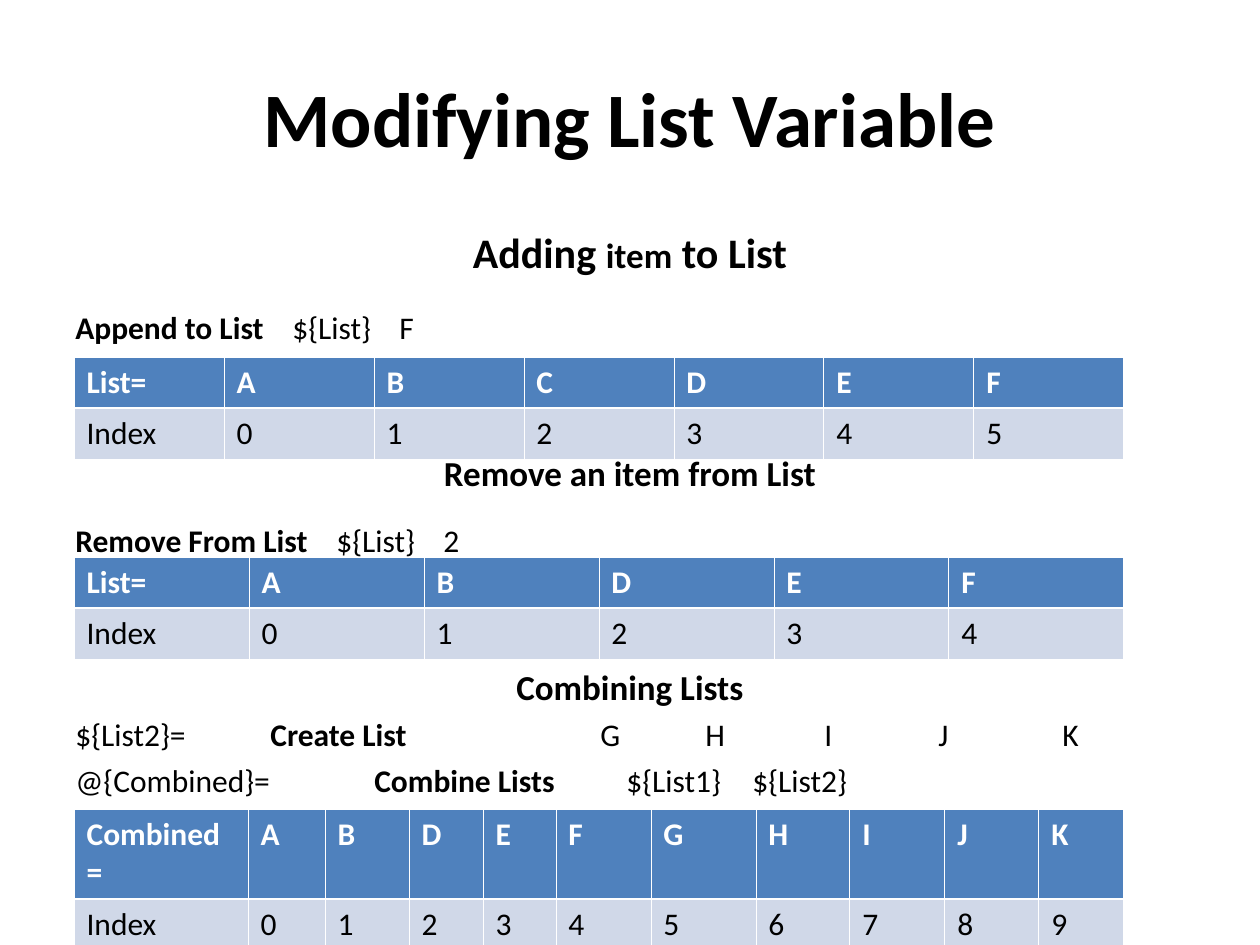
from dataclasses import dataclass

from pptx import Presentation
from pptx.dml.color import RGBColor
from pptx.enum.text import MSO_ANCHOR as Anchor, PP_ALIGN as Align
from pptx.oxml.ns import qn
from pptx.util import Emu, Pt
from lxml.etree import SubElement

EMU_PER_INCH = 914400
PX_PER_INCH = 126
FONT = "Calibri"
BLACK = RGBColor(0x00, 0x00, 0x00)
WHITE = RGBColor(0xFF, 0xFF, 0xFF)
HEADER_BLUE = RGBColor(0x4F, 0x81, 0xBD)
INDEX_BLUE = RGBColor(0xD0, 0xD8, 0xE8)
THIN, THICK = Pt(0.45), Pt(1.47)
TABLE_LEFT, TABLE_WIDTH, ROW_HEIGHT = 74, 1050, 51


@dataclass(frozen=True)
class Span:
    text: str
    bold: bool = False
    size: int = 18


@dataclass(frozen=True)
class Line:
    spans: tuple[Span, ...]
    before: float = 4.5
    centred: bool = False
    spacing: float = 1.0
    tabs: tuple[int, ...] = ()


@dataclass(frozen=True)
class ListTable:
    name: str
    items: str
    top: int
    header_height: int = ROW_HEIGHT
    widths: tuple[int, ...] = ()


TITLE = Line((Span("Modifying List Variable", True, 44),), before=0, centred=True)

# Space before a heading leaves room for the table above it
BODY = (
    Line((Span("Adding ", True, 24), Span("item", True, 20), Span(" to List", True, 24)),
         before=0, centred=True),
    Line((Span("Append to List\t", True), Span("${List}\tF")),
         before=17.7, tabs=(217, 324)),
    Line((Span("Remove an item from List", True, 20),), before=60.9, centred=True),
    Line((Span("Remove From List\t", True), Span("${List}\t2")),
         spacing=1.5, tabs=(261, 368)),
    Line((Span("Combining Lists", True, 20),), before=60.9, centred=True),
    Line((Span("${List2}=\t"), Span("Create List\t", True), Span("G\tH\tI\tJ\tK")),
         tabs=(195, 525, 630, 749, 863, 987)),
    Line((Span("@{Combined}=\t"), Span("Combine Lists\t", True), Span("${List1}\t${List2}")),
         tabs=(299, 551, 677)),
)

TABLES = (
    ListTable("List=", "ABCDEF", 357),
    ListTable("List=", "ABDEF", 557),
    ListTable("Combined=", "ABDEFGHIJK", 809, 90,
              (174, 77, 84, 74, 73, 95, 105, 94, 95, 94, 85)),
)


def px(length: int) -> Emu:
    return Emu(round(length * EMU_PER_INCH / PX_PER_INCH))


def style(span, size: int, bold: bool, colour: RGBColor) -> None:
    span.font.name = FONT
    span.font.size = Pt(size)
    span.font.bold = bold
    span.font.color.rgb = colour


def add_text(page, left: int, top: int, width: int, height: int,
             lines: tuple[Line, ...], anchor: Anchor = Anchor.TOP) -> None:
    frame = page.shapes.add_textbox(px(left), px(top), px(width), px(height)).text_frame
    frame.word_wrap = True
    frame.vertical_anchor = anchor
    for number, line in enumerate(lines):
        para = frame.add_paragraph() if number else frame.paragraphs[0]
        if line.tabs:
            stops = SubElement(para._p.get_or_add_pPr(), qn("a:tabLst"))
            for stop in line.tabs:
                SubElement(stops, qn("a:tab"), pos=str(px(stop)), algn="l")
        para.alignment = Align.CENTER if line.centred else Align.LEFT
        para.space_before = Pt(line.before)
        para.line_spacing = line.spacing
        for part in line.spans:
            span = para.add_run()
            span.text = part.text
            style(span, part.size, part.bold, BLACK)


def add_borders(cell, top: Pt, bottom: Pt) -> None:
    sides = {"a:lnL": THIN, "a:lnR": THIN, "a:lnT": top, "a:lnB": bottom}
    for tag, width in sides.items():
        border = SubElement(cell._tc.get_or_add_tcPr(), qn(tag), w=str(int(width)))
        fill = SubElement(border, qn("a:solidFill"))
        SubElement(fill, qn("a:srgbClr"), val=str(WHITE))


def fill_cell(cell, text: str, header: bool) -> None:
    add_borders(cell, THIN if header else THICK, THICK if header else THIN)
    cell.fill.solid()
    cell.fill.fore_color.rgb = HEADER_BLUE if header else INDEX_BLUE
    cell.text_frame.text = text
    span = cell.text_frame.paragraphs[0].runs[0]
    style(span, 18, header, WHITE if header else BLACK)


def add_list_table(page, spec_: ListTable) -> None:
    header = [spec_.name, *spec_.items]
    index = ["Index", *map(str, range(len(spec_.items)))]
    columns = len(header)
    table = page.shapes.add_table(
        2, columns, px(TABLE_LEFT), px(spec_.top), px(TABLE_WIDTH),
        px(spec_.header_height + ROW_HEIGHT)).table
    table.rows[0].height = px(spec_.header_height)
    table.rows[1].height = px(ROW_HEIGHT)
    widths = spec_.widths or (TABLE_WIDTH // columns,) * columns
    for number, width in enumerate(widths):
        table.columns[number].width = px(width)
        fill_cell(table.cell(0, number), header[number], True)
        fill_cell(table.cell(1, number), index[number], False)


def main() -> None:
    deck = Presentation()
    deck.slide_width, deck.slide_height = px(1260), px(945)
    page = deck.slides.add_slide(deck.slide_layouts[6])

    # Title and commands
    add_text(page, 63, 38, 1134, 157, (TITLE,), Anchor.MIDDLE)
    add_text(page, 63, 220, 1134, 725, BODY)

    # List contents with their indexes
    for list_table in TABLES:
        add_list_table(page, list_table)

    deck.save("out.pptx")


if __name__ == "__main__":
    main()
